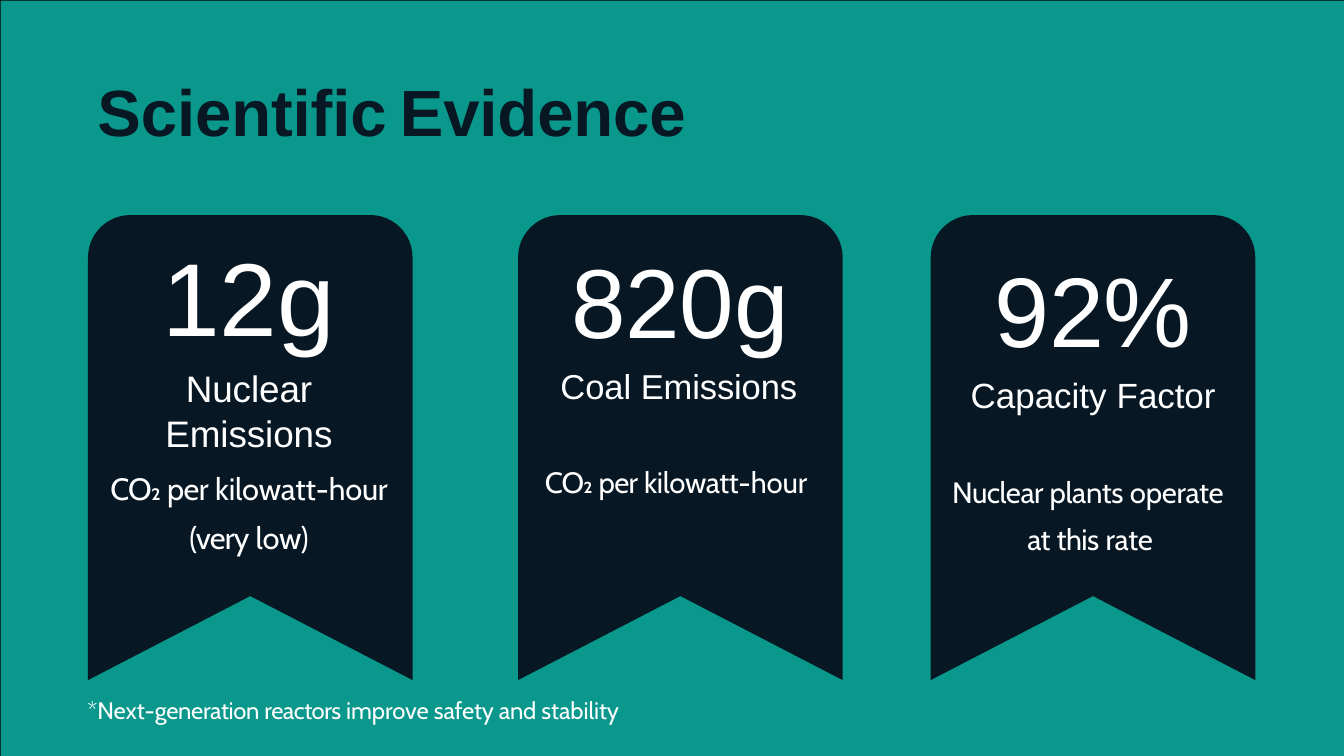
import math
from dataclasses import dataclass

import pptx
import pptx.dml.color
import pptx.enum.shapes
import pptx.enum.text
import pptx.oxml.ns
import pptx.util
from lxml import etree

COLS, ROWS = 20, 11.25


@dataclass(frozen=True)
class Theme:
    teal: str = "09988B"
    navy: str = "071723"
    white: str = "FFFFFF"
    black: str = "000000"
    head: str = "Arial"
    body: str = "Cabin"
    title: float = 70
    note: float = 25.5


class Deck:
    """Holds the theme and the current slide; lengths are grid cells."""

    def __init__(self, theme):
        self.theme = theme
        self.prs = pptx.Presentation()
        self.prs.slide_width = pptx.util.Inches(20)
        self.prs.slide_height = pptx.util.Inches(11.25)
        self.cell = self.prs.slide_width / COLS
        self.slide = self.prs.slides.add_slide(self.prs.slide_layouts[6])

    def size(self, *cells):
        return [round(c * self.cell) for c in cells]

    def tint(self, fill, color):
        fill.solid()
        fill.fore_color.rgb = pptx.dml.color.RGBColor.from_string(color)

    def paint(self, shape, color):
        shape.shadow.inherit = False
        self.tint(shape.fill, color)
        shape.line.fill.background()

    def back(self, color):
        self.tint(self.slide.background.fill, color)

    def rect(self, x, y, w, h, color):
        kind = pptx.enum.shapes.MSO_SHAPE.RECTANGLE
        self.paint(self.slide.shapes.add_shape(kind, *self.size(x, y, w, h)), color)

    def ribbon(self, x, y, w, h, curve, notch):
        """Banner with round top corners and a notch cut into its foot."""
        pts = [(x, y + h)]
        for mid, start in ((x + curve, 180), (x + w - curve, 270)):
            for step in range(13):
                turn = math.radians(start + step * 7.5)
                pts.append((mid + curve * math.cos(turn),
                            y + curve + curve * math.sin(turn)))
        pts += [(x + w, y + h), (x + w / 2, y + h - notch)]
        pts = [self.size(*p) for p in pts]
        path = self.slide.shapes.build_freeform(*pts[0])
        path.add_line_segments(pts[1:], close=True)
        self.paint(path.convert_to_shape(), self.theme.navy)

    def text(self, x, y, w, h, *paras, inset=0.01):
        box = self.slide.shapes.add_textbox(*self.size(x, y, w, h))
        frame = box.text_frame
        frame.word_wrap = True
        frame.auto_size = pptx.enum.text.MSO_AUTO_SIZE.SHAPE_TO_FIT_TEXT
        frame.margin_left = frame.margin_right = frame.margin_bottom = 0
        frame.margin_top = self.size(inset)[0]
        for i, para in enumerate(paras):
            self.para(frame.add_paragraph() if i else frame.paragraphs[0], **para)

    def para(self, p, runs, size, font, color=None, bold=False, before=1,
             lead=None, left=0.01, right=0, first=0, mid=False, tab=None):
        p.space_before = pptx.util.Pt(before)
        if lead:
            p.line_spacing = lead
        if mid:
            p.alignment = pptx.enum.text.PP_ALIGN.CENTER
        props = p._p.get_or_add_pPr()
        for name, cells in (("marL", left), ("marR", right), ("indent", first)):
            props.set(name, str(self.size(cells)[0]))
        if tab:
            stops = etree.SubElement(props, pptx.oxml.ns.qn("a:tabLst"))
            etree.SubElement(stops, pptx.oxml.ns.qn("a:tab"),
                             pos=str(self.size(tab)[0]), algn="l")
        for words, gap in runs:
            run = p.add_run()
            run.text = words
            run.font.name = font
            run.font.size = pptx.util.Pt(size)
            run.font.bold = bold
            run.font.color.rgb = pptx.dml.color.RGBColor.from_string(
                color or self.theme.white)
            run._r.get_or_add_rPr().set("spc", str(round(gap * 100)))


def main():
    theme = Theme()
    deck = Deck(theme)
    head, body = theme.head, theme.body

    # Teal panel that leaves a thin dark edge at the top and left
    deck.back(theme.black)
    deck.rect(0.01, 0.01, COLS - 0.01, ROWS - 0.01, theme.teal)

    # Ribbons
    for x in (1.31, 7.71, 13.85):
        deck.ribbon(x, 3.2, 4.83, 6.92, curve=0.63, notch=1.25)

    # Title and footnote
    deck.text(1.44, 1.05, 8.89, 1.19, dict(
        runs=[("Scientific\tEvidence", -0.1)], size=theme.title, font=head,
        color=theme.navy, bold=True, tab=4.71))
    deck.text(1.29, 10.34, 8.22, 0.46, dict(
        runs=[("*Next-", -0.15), ("generation ", -0.4), ("reactors ", -0.55),
              ("improve ", -0.15), ("safety and ", -0.25), ("stability", -0.1)],
        size=theme.note, font=body, before=1.2), inset=0.02)

    # Nuclear emissions
    deck.text(2.41, 3.44, 2.6, 1.88, dict(
        runs=[("12g", -0.2)], size=111, font=head, before=1.1), inset=0.02)
    deck.text(1.56, 5.4, 4.28, 2.89, dict(
        runs=[("Nuclear Emissions", -0.1)], size=39.5, font=head, before=1.7,
        lead=pptx.util.Pt(48.4), left=0.89, right=0.88, mid=True), dict(
        runs=[("CO₂ ", -1), ("per ", -0.6), ("kilowatt-", -0.1),
              ("hour ", -0.3), ("(very ", -0.85), ("low)", -0.2)],
        size=33, font=body, before=3, lead=1.33, mid=True), inset=0.02)

    # Coal emissions
    deck.text(8.33, 3.31, 3.6, 2.75, dict(
        runs=[("820g", -0.2)], size=105, font=head, before=19.5, left=0.17), dict(
        runs=[("Coal", 0), (" Emissions", -0.1)], size=37, font=head,
        before=6.8), inset=0.27)
    deck.text(8.1, 6.9, 4.06, 0.55, dict(
        runs=[("CO₂ ", -1.05), ("per ", -0.65), ("kilowatt-", -0.35),
              ("hour", -0.15)], size=31.5, font=body, before=0.9))

    # Capacity factor
    deck.text(14.42, 3.43, 3.69, 2.77, dict(
        runs=[("92%", -0.2)], size=106, font=head, before=19.5, left=0,
        mid=True), dict(
        runs=[("Capacity ", 0), ("Factor", -0.1)], size=37.5, font=head,
        before=6.8, left=0, mid=True), inset=0.27)
    deck.text(14.15, 6.87, 4.22, 1.43, dict(
        runs=[("Nuclear ", -0.55), ("plants ", -0.35), ("operate ", -0.25),
              ("at ", -0.6), ("this ", -0.5), ("rate", -0.15)],
        size=31.5, font=body, before=0.9, lead=1.33, left=1.14, first=-1.12))

    deck.prs.save("out.pptx")


if __name__ == "__main__":
    main()
